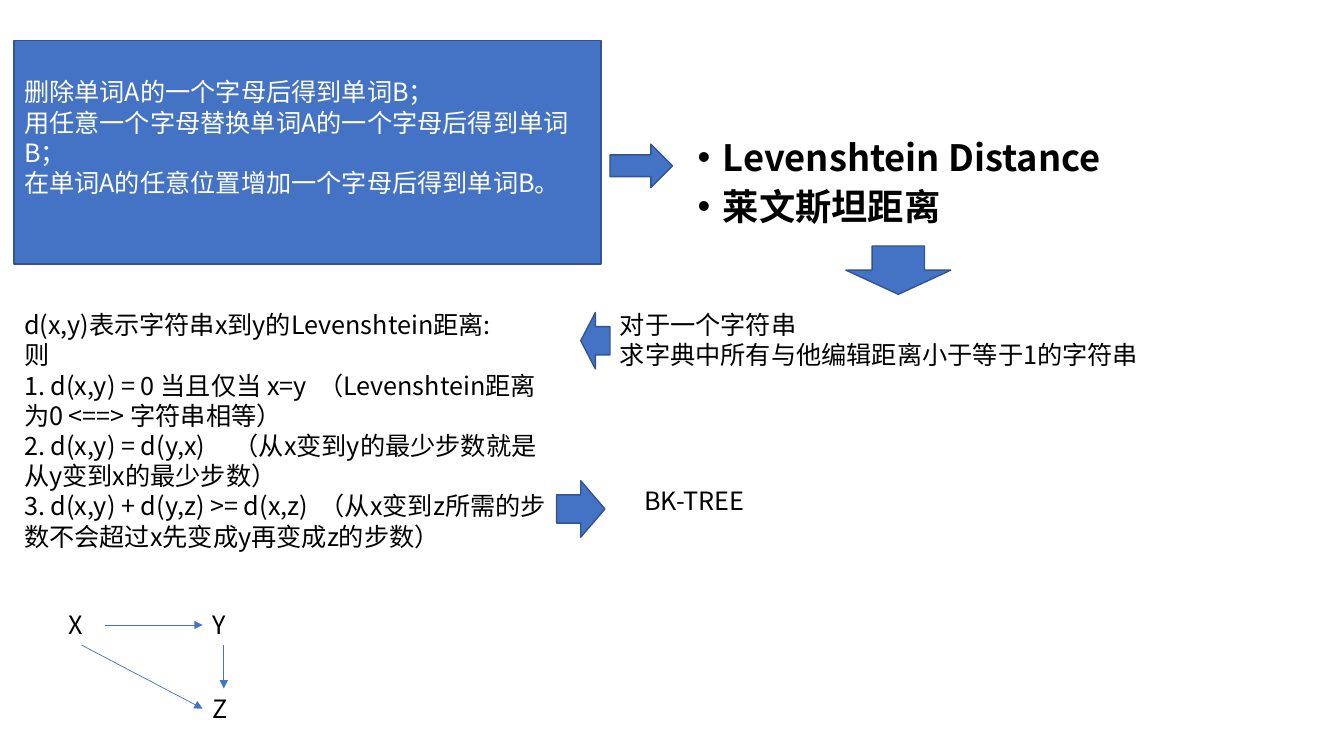
from lxml import etree
from pptx import Presentation
from pptx import util as u
from pptx.dml.color import RGBColor
from pptx.enum import shapes, text
from pptx.oxml.ns import qn


def rgb(value):
    return RGBColor.from_string(value)


class LevenshteinSlide:
    """Hold the style and the current slide, with a method for each kind of element."""

    font = "Noto Sans CJK SC"
    blue, outline, black, white = "4472C4", "325491", "000000", "FFFFFF"

    def __init__(self, prs):
        self.s = prs.slides.add_slide(prs.slide_layouts[6])

    def set_lines(self, tf, lines, color, size=18, bold=False):
        tf.word_wrap = True
        tf.text = "\n".join(lines)
        for p in tf.paragraphs:
            p.alignment = text.PP_ALIGN.LEFT
            for r in p.runs:
                r.font.size = u.Pt(size)
                r.font.bold = bold
                r.font.color.rgb = rgb(color)
                r.font.name = self.font
                ea = etree.SubElement(r._r.get_or_add_rPr(), qn("a:ea"))
                ea.set("typeface", self.font)

    def label(self, box, *lines, **style):
        sp = self.s.shapes.add_textbox(*map(u.Inches, box))
        self.set_lines(sp.text_frame, lines, self.black, **style)
        return sp

    def bullets(self, box, *lines):
        sp = self.label(box, *lines, size=25.9, bold=True)
        for p in sp.text_frame.paragraphs:
            p.line_spacing = 0.8
            p.space_before = u.Pt(10)
            pPr = p._p.get_or_add_pPr()
            pPr.set("marL", str(u.Inches(0.25)))
            pPr.set("indent", str(u.Inches(-0.25)))
            etree.SubElement(pPr, qn("a:buFont")).set("typeface", "Arial")
            etree.SubElement(pPr, qn("a:buChar")).set("char", "•")

    def shape(self, kind, box, rotation=0):
        sp = self.s.shapes.add_shape(kind, *map(u.Inches, box))
        sp.shadow.inherit = False
        sp.rotation = rotation
        sp.fill.solid()
        sp.fill.fore_color.rgb = rgb(self.blue)
        sp.line.color.rgb = rgb(self.outline)
        sp.line.width = u.Pt(1)
        return sp

    def panel(self, box, *lines):
        sp = self.shape(shapes.MSO_SHAPE.RECTANGLE, box)
        tf = sp.text_frame
        tf.vertical_anchor = text.MSO_ANCHOR.MIDDLE
        tf.margin_bottom = u.Inches(0.35)
        self.set_lines(tf, lines, self.white)

    def arrow(self, start, end):
        sp = self.s.shapes.add_connector(
            shapes.MSO_CONNECTOR.STRAIGHT, *map(u.Inches, start + end))
        sp.line.color.rgb = rgb(self.blue)
        sp.line.width = u.Pt(0.5)
        spPr = sp._element.spPr
        etree.SubElement(spPr.find(qn("a:ln")), qn("a:tailEnd")).set("type", "triangle")
        etree.SubElement(spPr, qn("a:effectLst"))


def main():
    prs = Presentation()
    prs.slide_width, prs.slide_height = u.Inches(13.33), u.Inches(7.5)
    slide = LevenshteinSlide(prs)
    right, down = shapes.MSO_SHAPE.RIGHT_ARROW, shapes.MSO_SHAPE.DOWN_ARROW

    slide.bullets((6.82, 1.38, 4.92, 0.96), "Levenshtein Distance", "莱文斯坦距离")
    slide.panel(
        (0.14, 0.4, 5.82, 2.22),
        "删除单词A的一个字母后得到单词B；",
        "用任意一个字母替换单词A的一个字母后得到单词B；",
        "在单词A的任意位置增加一个字母后得到单词B。",
    )
    slide.label(
        (6.05, 3.02, 5.72, 0.71),
        "对于一个字符串",
        "求字典中所有与他编辑距离小于等于1的字符串",
    )
    slide.label(
        (0.14, 3.02, 5.39, 2.83),
        "d(x,y)表示字符串x到y的Levenshtein距离:",
        "则",
        "1. d(x,y) = 0 当且仅当 x=y  （Levenshtein距离为0 <==> 字符串相等）",
        "2. d(x,y) = d(y,x)     （从x变到y的最少步数就是从y变到x的最少步数）",
        "3. d(x,y) + d(y,z) >= d(x,z)  （从x变到z所需的步数不会超过x先变成y再变成z的步数）",
    )
    slide.label((6.29, 4.77, 4.33, 0.4), "BK-TREE")

    for kind, box, rotation in (
        (right, (6.05, 1.43, 0.62, 0.43), 0),
        (down, (8.39, 2.44, 1.04, 0.48), 0),
        (right, (5.76, 3.1, 0.29, 0.56), 180),
        (right, (5.52, 4.77, 0.48, 0.56), 0),
    ):
        slide.shape(kind, box, rotation)

    for name, left, top in (("X", 0.58, 6), ("Y", 2.01, 6), ("Z", 2.01, 6.83)):
        slide.label((left, top, 0.45, 0.4), name)
    for start, end in (
        ((1.04, 6.2), (2.01, 6.2)),
        ((2.22, 6.4), (2.22, 6.83)),
        ((0.81, 6.4), (2.01, 7.03)),
    ):
        slide.arrow(start, end)

    prs.save("out.pptx")


if __name__ == "__main__":
    main()
